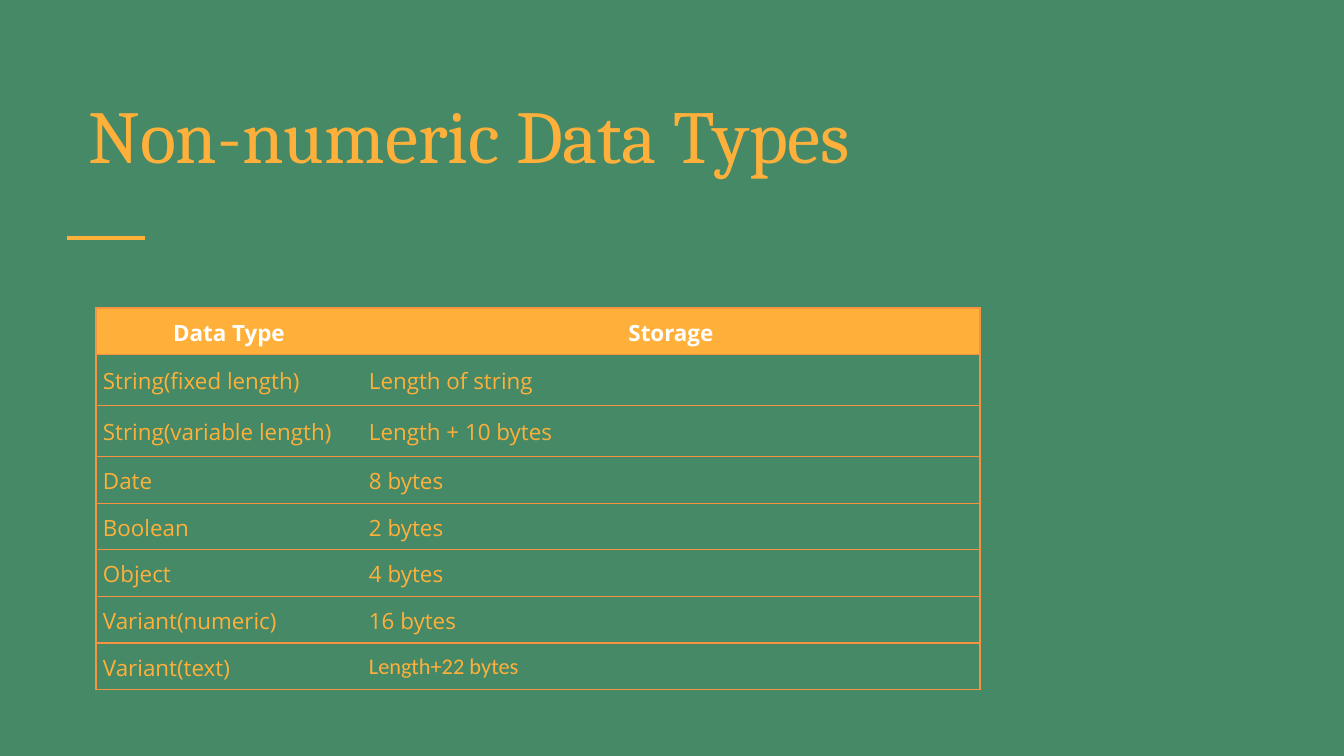
from lxml import etree
from pptx import Presentation
from pptx.dml.color import RGBColor
from pptx.enum.shapes import MSO_CONNECTOR, MSO_SHAPE
from pptx.enum.text import MSO_ANCHOR, MSO_AUTO_SIZE, PP_ALIGN
from pptx.oxml.ns import qn
from pptx.util import Emu, Pt

STRAIGHT = MSO_CONNECTOR.STRAIGHT
RECTANGLE = MSO_SHAPE.RECTANGLE
TOP, MIDDLE = MSO_ANCHOR.TOP, MSO_ANCHOR.MIDDLE
LEFT, CENTER = PP_ALIGN.LEFT, PP_ALIGN.CENTER
NO_AUTOFIT = MSO_AUTO_SIZE.NONE

GREEN, AMBER, ORANGE, WHITE = "468966", "FFB03B", "F69240", "FFFFFF"
PLAIN_TABLE_STYLE = "{2D5ABB26-0587-4C30-8999-92F81FD0307C}"

TITLE = "Non-numeric Data Types"
ROWS = [
    ("Data Type", "Storage"),
    ("String(fixed length)", "Length of string"),
    ("String(variable length)", "Length + 10 bytes"),
    ("Date", "8 bytes"),
    ("Boolean", "2 bytes"),
    ("Object", "4 bytes"),
    ("Variant(numeric)", "16 bytes"),
    ("Variant(text)", "Length+22 bytes"),
]
OTHER_FONTS = {"Length+22 bytes": "Calibri"}
COLUMN_WIDTHS = (266, 618)
ROW_HEIGHTS = (43, 51, 51, 43, 42, 43, 43, 43)


def px(length):
    return Emu(round(length * 914400 / 134.4))


def color(value):
    return RGBColor.from_string(value)


def add_run(para, text, font, size, value, bold=False):
    span = para.add_run()
    span.text = text
    span.font.name = font
    span.font.size = Pt(size)
    span.font.bold = bold
    span.font.color.rgb = color(value)


def add_borders(cell, sides):
    """Draw thin orange lines on the given sides, listed in the order L, R, T, B."""
    properties = cell._tc.get_or_add_tcPr()
    for position, side in enumerate(sides):
        line = etree.Element(qn(f"a:ln{side}"), w=str(Pt(0.75)))
        fill = etree.SubElement(line, qn("a:solidFill"))
        etree.SubElement(fill, qn("a:srgbClr"), val=ORANGE)
        properties.insert(position, line)


def fill_cell(cell, text, is_header, side):
    cell.vertical_anchor = MIDDLE
    cell.margin_left = cell.margin_right = px(7)
    cell.margin_top = cell.margin_bottom = px(7)
    if is_header:
        cell.fill.solid()
        cell.fill.fore_color.rgb = color(AMBER)
    else:
        cell.fill.background()
    add_borders(cell, side + "TB")
    para = cell.text_frame.paragraphs[0]
    para.alignment = CENTER if is_header else LEFT
    para.line_spacing = 1.07
    para.space_after = Pt(8)
    font = OTHER_FONTS.get(text, "Open Sans")
    add_run(para, text, font, 12, WHITE if is_header else AMBER, is_header)


deck = Presentation()
deck.slide_width, deck.slide_height = px(1344), px(756)
page = deck.slides.add_slide(deck.slide_layouts[5])

backdrop = page.shapes.add_shape(RECTANGLE, 0, 0, deck.slide_width, deck.slide_height)
backdrop.shadow.inherit = False
backdrop.fill.solid()
backdrop.fill.fore_color.rgb = color(GREEN)
backdrop.line.fill.background()
page.shapes._spTree.insert(2, backdrop._element)

title = page.shapes.title
title.left, title.top, title.width, title.height = px(75), px(82), px(949), px(103)
frame = title.text_frame
frame.word_wrap = True
frame.auto_size = NO_AUTOFIT
frame.vertical_anchor = TOP
frame.paragraphs[0].alignment = LEFT
add_run(frame.paragraphs[0], TITLE, "Cambria", 40, AMBER)

rule = page.shapes.add_connector(STRAIGHT, px(67), px(238), px(145), px(238))
rule.line.color.rgb = color(AMBER)
rule.line.width = Pt(1.75)
etree.SubElement(rule._element.spPr, qn("a:effectLst"))

table_frame = page.shapes.add_table(
    len(ROWS), len(COLUMN_WIDTHS), px(96), px(308),
    px(sum(COLUMN_WIDTHS)), px(sum(ROW_HEIGHTS)))
table = table_frame.table
table.horz_banding = False
table._tbl.tblPr.find(qn("a:tableStyleId")).text = PLAIN_TABLE_STYLE
for column, width in zip(table.columns, COLUMN_WIDTHS):
    column.width = px(width)
for index, (row, height, texts) in enumerate(zip(table.rows, ROW_HEIGHTS, ROWS)):
    row.height = px(height)
    for cell, text, side in zip(row.cells, texts, "LR"):
        fill_cell(cell, text, index == 0, side)

deck.save("out.pptx")
